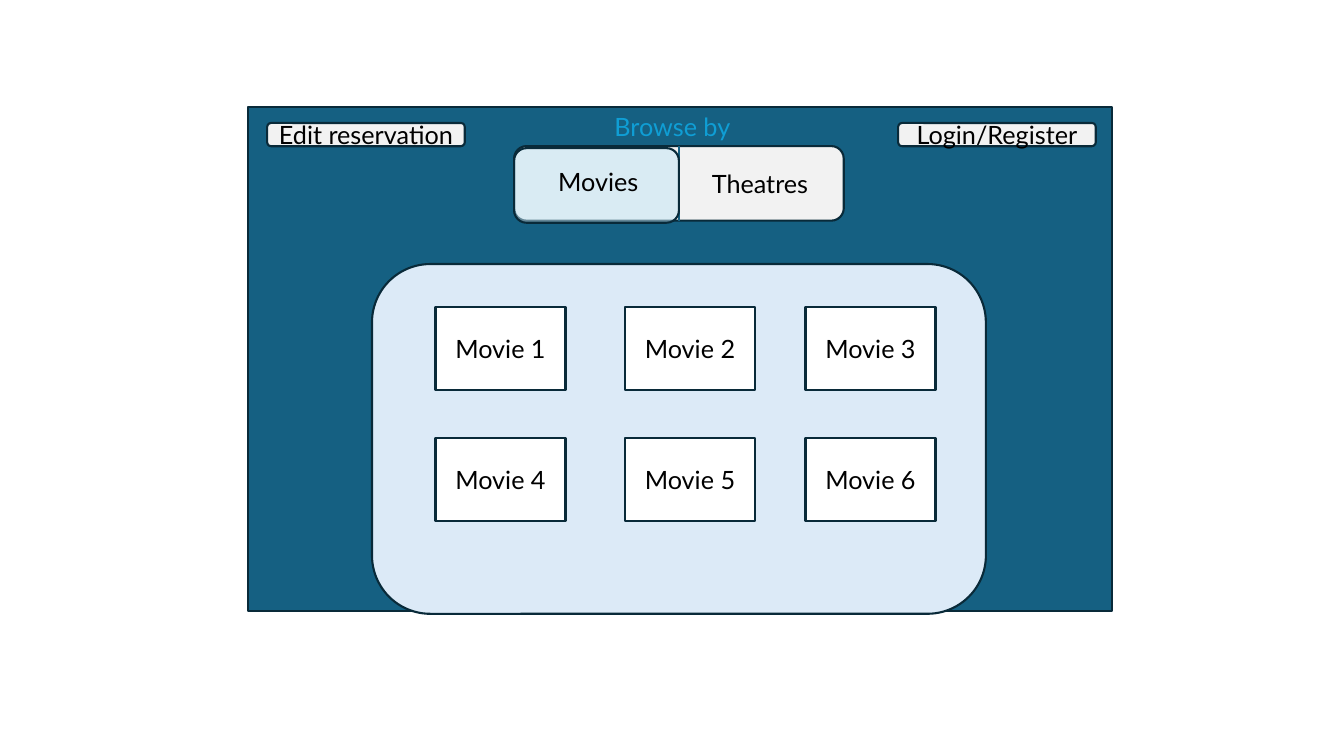
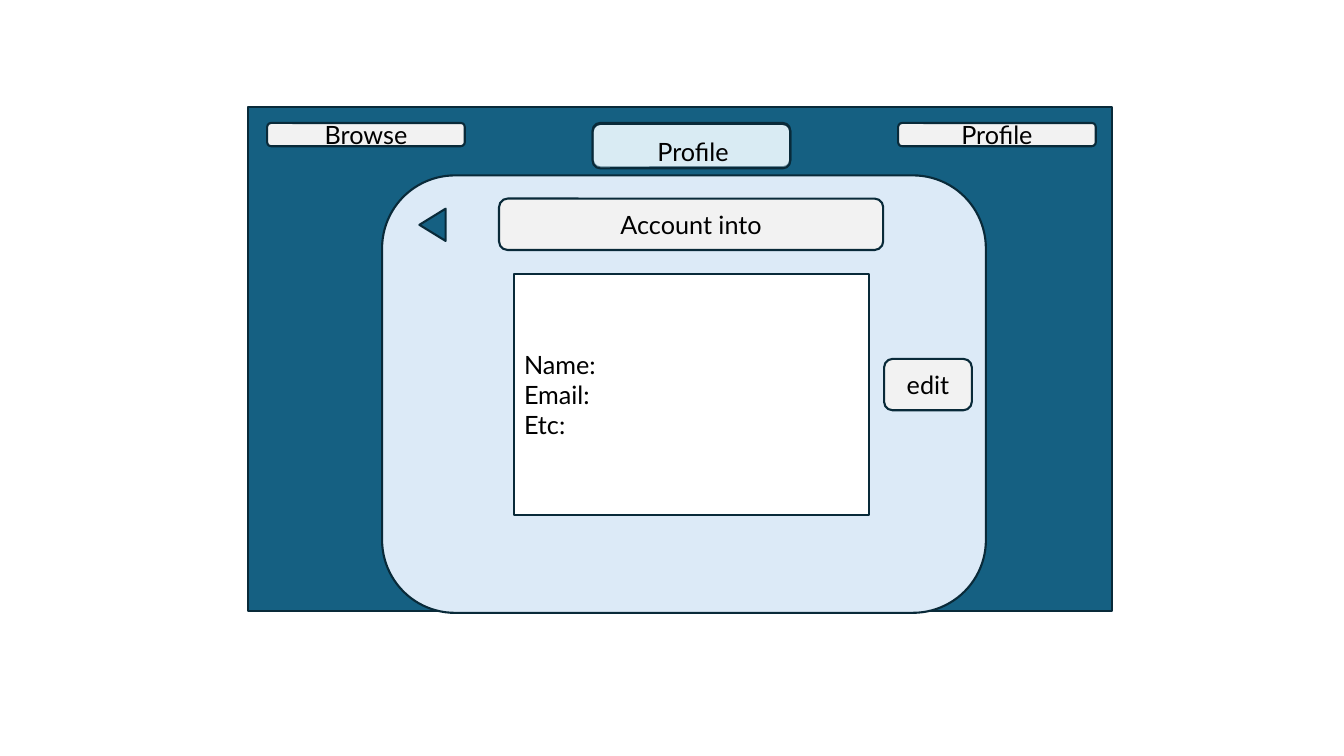
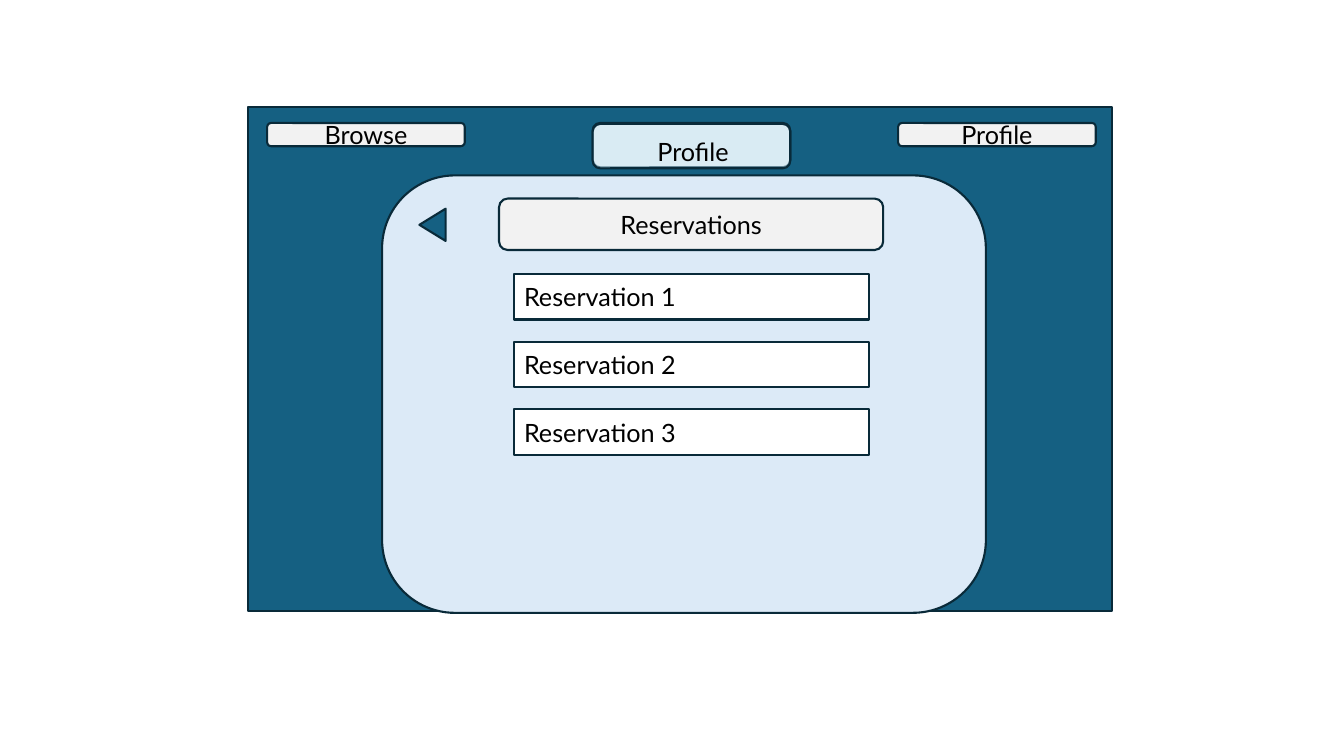
from dataclasses import dataclass
from itertools import product

from lxml.etree import SubElement
from pptx import Presentation
from pptx.dml.color import RGBColor
from pptx.enum.shapes import MSO_CONNECTOR, MSO_SHAPE
from pptx.enum.text import MSO_ANCHOR, MSO_AUTO_SIZE, PP_ALIGN
from pptx.oxml.ns import qn
from pptx.util import Inches, Pt


@dataclass(frozen=True)
class Theme:
    teal: str = "156082"
    outline: str = "092A39"
    button: str = "F2F2F2"
    selected: str = "C1E5F5"
    panel: str = "DCEAF7"
    card: str = "FFFFFF"
    ink: str = "000000"
    accent: str = "0F9ED5"
    font: str = "Lato"
    text_size: float = 18
    line_width: float = 1.5


theme = Theme()
deck = Presentation()
deck.slide_width, deck.slide_height = Inches(13.33), Inches(7.5)
COLUMN, ROW = deck.slide_width / 100, deck.slide_height / 100
RECT, ROUND = MSO_SHAPE.RECTANGLE, MSO_SHAPE.ROUNDED_RECTANGLE


def write(holder, text, color=theme.ink, align=PP_ALIGN.CENTER, anchor=MSO_ANCHOR.TOP):
    frame = holder.text_frame
    frame.text = text
    frame.word_wrap = True
    frame.auto_size = MSO_AUTO_SIZE.NONE
    frame.vertical_anchor = anchor
    for paragraph in frame.paragraphs:
        paragraph.alignment = align
        for run in paragraph.runs:
            run.font.name = theme.font
            run.font.size = Pt(theme.text_size)
            run.font.color.rgb = RGBColor.from_string(color)


def draw(slide, kind, area, fill, text="", align=PP_ALIGN.CENTER, opacity=100):
    left, top, width, height = area
    shape = slide.shapes.add_shape(
        kind, int(left * COLUMN), int(top * ROW), int(width * COLUMN), int(height * ROW))
    shape.shadow.inherit = False
    shape.fill.solid()
    shape.fill.fore_color.rgb = RGBColor.from_string(fill)
    if opacity < 100:
        tint = shape.element.spPr.find(qn("a:solidFill")).find(qn("a:srgbClr"))
        SubElement(tint, qn("a:alpha")).set("val", str(opacity * 1000))
    shape.line.color.rgb = RGBColor.from_string(theme.outline)
    shape.line.width = Pt(theme.line_width)
    if text:
        write(shape, text, align=align, anchor=MSO_ANCHOR.MIDDLE)
    return shape


screens = [
    ("Browse by", theme.accent, (43.35, 14, 13.35, 5.33),
     "Edit reservation", "Login/Register", (27.68, 34.93, 45.68, 46.27)),
    ("Profile", theme.ink, (43.8, 17.33, 15.53, 5.33),
     "Browse", "Profile", (28.43, 23.2, 44.93, 57.87)),
    ("Profile", theme.ink, (43.8, 17.33, 15.53, 5.33),
     "Browse", "Profile", (28.43, 23.2, 44.93, 57.87)),
]
slides = []
for heading, color, heading_area, left_button, right_button, panel_area in screens:
    slide = deck.slides.add_slide(deck.slide_layouts[5])
    slides.append(slide)
    draw(slide, RECT, (18.45, 14.13, 64.28, 66.67), theme.teal)
    draw(slide, ROUND, panel_area, theme.panel)
    for left, label in ((19.88, left_button), (66.83, right_button)):
        draw(slide, ROUND, (left, 16.27, 14.7, 3.07), theme.button, label)
    if heading == "Profile":
        draw(slide, ROUND, (44.1, 16.27, 14.7, 5.87), theme.button)
        draw(slide, ROUND, (44.1, 16.4, 14.7, 5.87), theme.selected, opacity=50)
    title = slide.shapes.title
    title.left, title.width = (int(share * COLUMN) for share in heading_area[::2])
    title.top, title.height = (int(share * ROW) for share in heading_area[1::2])
    write(title, heading, color)
    title.element.getparent().append(title.element)

browse, account, reservations = slides

toggle_left, toggle_top, toggle_width, toggle_height = 38.25, 19.33, 24.53, 9.87
toggle_middle = toggle_left + toggle_width / 2
draw(browse, ROUND, (toggle_left, toggle_top, toggle_width, toggle_height), theme.button)
divider = browse.shapes.add_connector(
    MSO_CONNECTOR.STRAIGHT, int(toggle_middle * COLUMN), int(toggle_top * ROW),
    int(toggle_middle * COLUMN), int((toggle_top + toggle_height) * ROW))
divider.line.color.rgb = RGBColor.from_string(theme.teal)
divider.line.width = Pt(theme.line_width)
SubElement(divider.element.spPr, qn("a:effectLst"))
draw(browse, ROUND, (toggle_left, 19.6, toggle_width / 2, toggle_height),
     theme.selected, opacity=50)
for label, left, top, width in (("Movies", 40.35, 21.33, 8.33),
                                ("Theatres", 52.13, 21.6, 8.85)):
    choice = browse.shapes.add_textbox(
        int(left * COLUMN), int(top * ROW), int(width * COLUMN), int(5.33 * ROW))
    write(choice, label)

movie_places = product((40.67, 58), (32.4, 46.5, 59.93))
for number, (top, left) in enumerate(movie_places, 1):
    draw(browse, RECT, (left, top, 9.68, 10.93), theme.card, f"Movie {number}")

for slide, section in ((account, "Account into"), (reservations, "Reservations")):
    draw(slide, ROUND, (37.13, 26.27, 28.58, 6.8), theme.button, section)
    back = draw(slide, MSO_SHAPE.ISOSCELES_TRIANGLE, (30.98, 28, 2.4, 3.47), theme.teal)
    back.rotation = 270

list_left, list_top, list_width = 38.25, 36.27, 26.4
draw(account, RECT, (list_left, list_top, list_width, 31.87), theme.card,
     "Name:\nEmail:\nEtc:", PP_ALIGN.LEFT)
draw(account, ROUND, (65.78, 47.47, 6.53, 6.8), theme.button, "edit")

for index in range(3):
    draw(reservations, RECT, (list_left, list_top + index * 8.93, list_width, 6),
         theme.card, f"Reservation {index + 1}", PP_ALIGN.LEFT)

deck.save("out.pptx")
